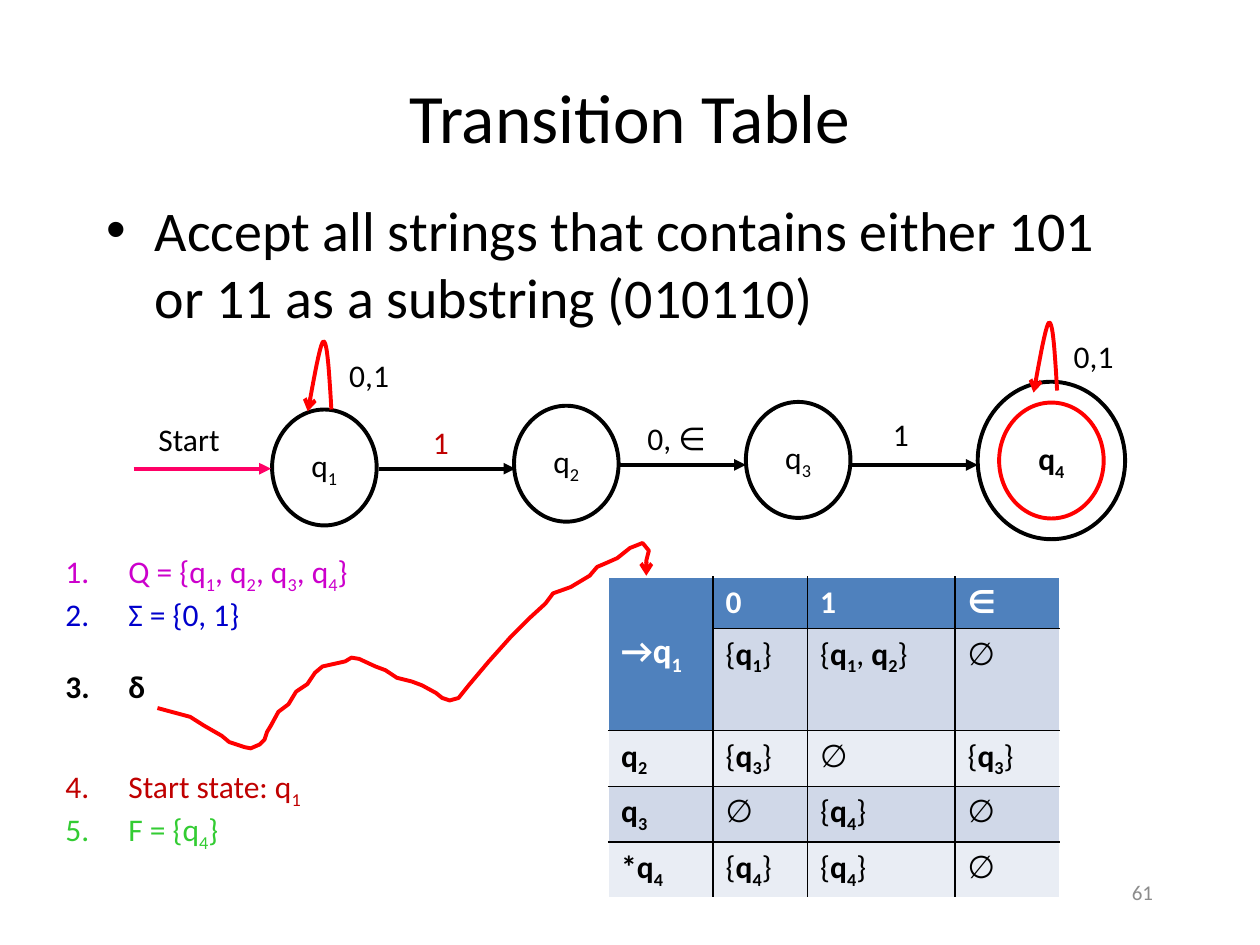
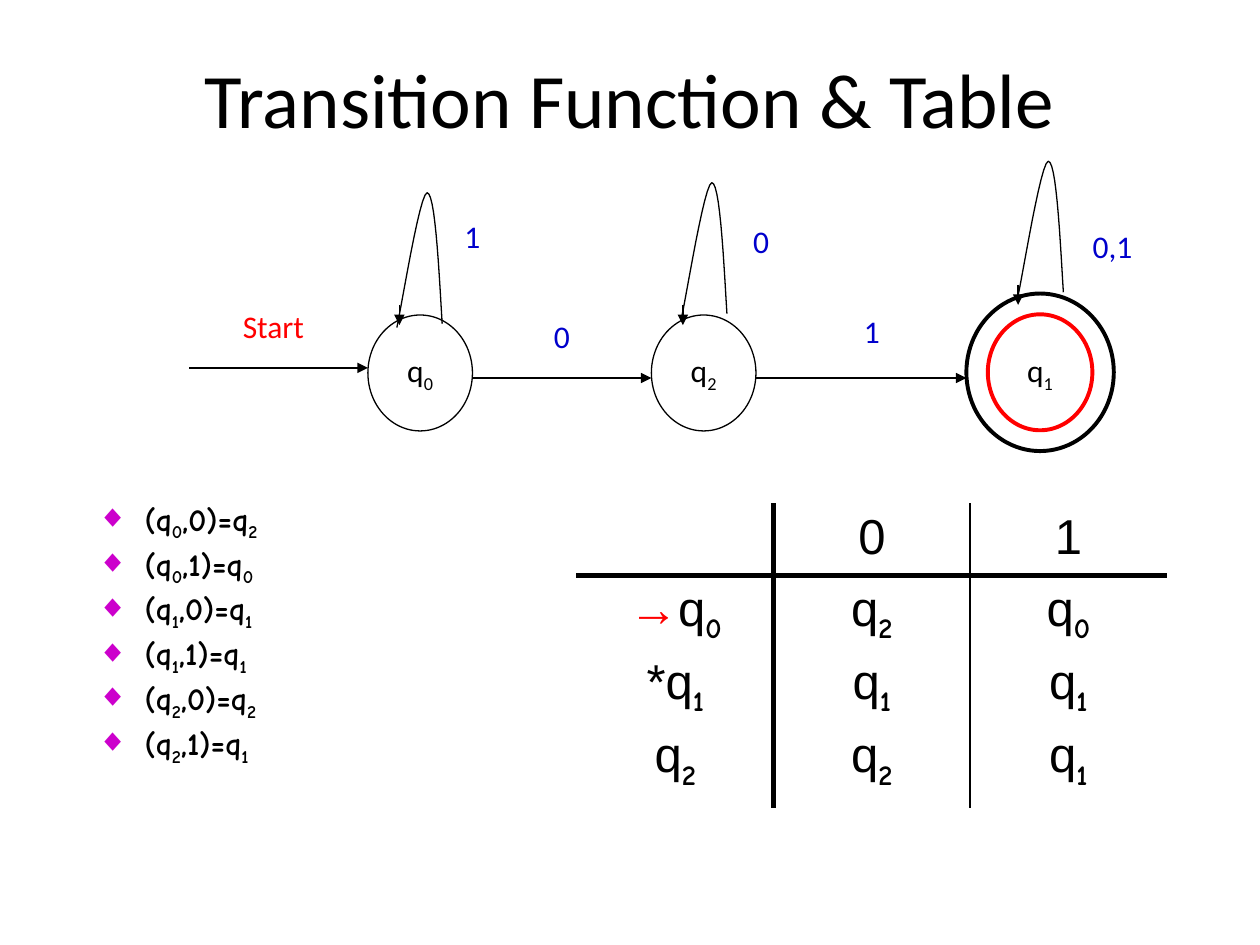
from lxml import etree
from pptx import Presentation
from pptx.dml.color import RGBColor
from pptx.enum.shapes import MSO_CONNECTOR, MSO_SHAPE
from pptx.enum.text import MSO_ANCHOR, PP_ALIGN
from pptx.oxml.ns import qn
from pptx.util import Inches, Pt

BLACK = RGBColor(0x00, 0x00, 0x00)
WHITE = RGBColor(0xFF, 0xFF, 0xFF)
GRAY = RGBColor(0x8C, 0x8C, 0x8C)
RED = RGBColor(0xFF, 0x00, 0x00)
DARK_RED = RGBColor(0xC0, 0x00, 0x00)
PINK = RGBColor(0xFF, 0x00, 0x66)
BLUE = RGBColor(0x00, 0x00, 0xCC)
PURPLE = RGBColor(0xCC, 0x00, 0xCC)
GREEN = RGBColor(0x33, 0xCC, 0x33)
HEADER_BLUE = RGBColor(0x4F, 0x81, 0xBD)
BANDS = (RGBColor(0xD0, 0xD8, 0xE8), RGBColor(0xE9, 0xED, 0xF4))

BODY_FONT, TABLE_FONT, COMIC_FONT = "Calibri", "Arial", "Comic Neue"
THIN, THICK = 0.75, 2.25
STATE_SIZE = (0.83, 0.92)
ACCEPT_SIZE = (1.17, 1.25)

# Two Bezier segments, as offsets from the start of the loop.
LOOP_CURVES = (
    ((0, 0), (-0.03, -0.52), (-0.06, -1.04), (-0.12, -1.04)),
    ((-0.12, -1.04), (-0.18, -1.03), (-0.32, -0.15), (-0.36, 0.03)),
)
DELTA_TRACE = (
    (1.25, 5.62), (1.51, 5.69), (1.62, 5.76), (1.76, 5.84), (1.82, 5.89),
    (1.94, 5.93), (1.99, 5.94), (2.06, 5.91), (2.1, 5.87), (2.12, 5.81),
    (2.15, 5.76), (2.21, 5.65), (2.29, 5.59), (2.35, 5.49), (2.44, 5.43),
    (2.5, 5.34), (2.56, 5.29), (2.74, 5.25), (2.79, 5.22), (2.85, 5.23),
    (2.98, 5.29), (3.06, 5.32), (3.15, 5.38), (3.27, 5.41), (3.35, 5.44),
    (3.46, 5.5), (3.51, 5.54), (3.57, 5.56), (3.64, 5.54), (3.72, 5.44),
    (3.88, 5.25), (4.05, 5.06), (4.21, 4.9), (4.33, 4.79), (4.39, 4.71),
    (4.53, 4.66), (4.68, 4.57), (4.74, 4.5), (4.81, 4.47), (4.9, 4.43),
    (5, 4.35), (5.1, 4.31), (5.15, 4.37), (5.13, 4.45), (5.13, 4.57),
)


def box(left, top, width, height):
    return Inches(left), Inches(top), Inches(width), Inches(height)


def write(paragraph, markup, size=18, color=BLACK, font=BODY_FONT, sub_font=None):
    """Fill a paragraph; |x| is bold and _ makes the next character a subscript."""
    paragraph.font.size = Pt(size)
    paragraph.font.color.rgb = color
    paragraph.font.name = font

    def add_run(text, bold, subscript=False):
        if not text:
            return
        run = paragraph.add_run()
        run.text = text
        run.font.bold = bold
        if subscript:
            run.font._element.set("baseline", "-25000")
            if sub_font:
                run.font.name = sub_font
                run.font.bold = True

    for index, chunk in enumerate(markup.split("|")):
        bold = index % 2 == 1
        plain, *subscripted = chunk.split("_")
        add_run(plain, bold)
        for part in subscripted:
            add_run(part[0], bold, subscript=True)
            add_run(part[1:], bold)


def set_bullet(paragraph, indent, char=None, color=None):
    """Hang a bullet character, or an automatic number when there is none."""
    properties = paragraph._p.get_or_add_pPr()
    properties.set("marL", str(Inches(indent)))
    properties.set("indent", str(-Inches(indent)))
    if color is not None:
        bullet_color = etree.SubElement(properties, qn("a:buClr"))
        etree.SubElement(bullet_color, qn("a:srgbClr")).set("val", str(color))
    if char:
        etree.SubElement(properties, qn("a:buFont")).set("typeface", TABLE_FONT)
        etree.SubElement(properties, qn("a:buChar")).set("char", char)
    else:
        etree.SubElement(properties, qn("a:buAutoNum")).set("type", "arabicPeriod")


def add_title(slide, text, bounds, size):
    title = slide.shapes.title
    title.left, title.top, title.width, title.height = box(*bounds)
    title.text_frame.vertical_anchor = MSO_ANCHOR.MIDDLE
    paragraph = title.text_frame.paragraphs[0]
    paragraph.alignment = PP_ALIGN.CENTER
    write(paragraph, text, size)


def add_text_frame(slide, bounds):
    frame = slide.shapes.add_textbox(*box(*bounds)).text_frame
    frame.word_wrap = True
    return frame


def next_paragraph(frame, index):
    return frame.add_paragraph() if index else frame.paragraphs[0]


def center_in(frame, markup, color=BLACK):
    frame.word_wrap = False
    frame.vertical_anchor = MSO_ANCHOR.MIDDLE
    frame.paragraphs[0].alignment = PP_ALIGN.CENTER
    write(frame.paragraphs[0], markup, color=color)


def add_label(slide, text, center_x, center_y, color=BLACK):
    bounds = (center_x - 0.5, center_y - 0.17, 1, 0.33)
    center_in(add_text_frame(slide, bounds), text, color)


def add_circle(slide, left, top, size, color, width, markup=""):
    circle = slide.shapes.add_shape(MSO_SHAPE.OVAL, *box(left, top, *size))
    circle.shadow.inherit = False
    circle.fill.solid()
    circle.fill.fore_color.rgb = WHITE
    circle.line.color.rgb = color
    circle.line.width = Pt(width)
    if markup:
        center_in(circle.text_frame, markup)


def add_accept_state(slide, left, top, markup):
    add_circle(slide, left, top, ACCEPT_SIZE, BLACK, THICK)
    add_circle(slide, left + 0.17, top + 0.165, STATE_SIZE, RED, THICK, markup)


def style_line(line, color, width, head=None):
    line.color.rgb = color
    line.width = Pt(width)
    if head:
        etree.SubElement(line._get_or_add_ln(), qn("a:tailEnd")).set("type", head)


def add_arrow(slide, start, end, color=BLACK, width=THIN):
    points = [Inches(value) for value in (*start, *end)]
    arrow = slide.shapes.add_connector(MSO_CONNECTOR.STRAIGHT, *points)
    style_line(arrow.line, color, width, "triangle")
    etree.SubElement(arrow._element.spPr, qn("a:effectLst"))


def add_trace(slide, points, color, width, head=None):
    """Draw an open outline through the points."""
    start, *rest = [(Inches(x), Inches(y)) for x, y in points]
    builder = slide.shapes.build_freeform(*start)
    builder.add_line_segments(rest, close=False)
    trace = builder.convert_to_shape()
    trace.shadow.inherit = False
    trace.fill.background()
    style_line(trace.line, color, width, head)


def bezier(curve, t):
    weights = ((1 - t) ** 3, 3 * t * (1 - t) ** 2, 3 * t * t * (1 - t), t ** 3)
    return tuple(sum(w * point[axis] for w, point in zip(weights, curve)) for axis in (0, 1))


def add_loop(slide, x, y, scale, color, width, head=None):
    steps = 12
    offsets = [(0, 0)]
    for curve in LOOP_CURVES:
        offsets += [bezier(curve, step / steps) for step in range(1, steps + 1)]
    points = [(x + scale * dx, y + scale * dy) for dx, dy in offsets]
    add_trace(slide, points, color, width, head)


def add_plain_table(slide, bounds, columns, rows):
    table = slide.shapes.add_table(len(rows), len(columns), *box(*bounds)).table
    table.first_row = table.horz_banding = False
    for column, width in zip(table.columns, columns):
        column.width = Inches(width)
    for row, height in zip(table.rows, rows):
        row.height = Inches(height)
    return table


def rule_inside(table, column_rules, row_rules):
    """Draw the inner borders; the widths run left to right and top to bottom."""
    across, down = (0, *column_rules, 0), (0, *row_rules, 0)
    for r in range(len(table.rows)):
        for c in range(len(table.columns)):
            properties = table.cell(r, c)._tc.get_or_add_tcPr()
            sides = {"L": across[c], "R": across[c + 1], "T": down[r], "B": down[r + 1]}
            for side, width in sides.items():
                border = etree.SubElement(properties, qn(f"a:ln{side}"))
                border.set("w", str(Pt(width or 1)))
                fill = etree.SubElement(border, qn("a:solidFill"))
                color = BLACK if width else WHITE
                etree.SubElement(fill, qn("a:srgbClr")).set("val", str(color))


def add_nfa_table(slide):
    content = (
        ("|→q_1|", "|0|", "|1|", "|∈|"),
        ("", "{|q_1|}", "{|q_1|, |q_2|}", "∅"),
        ("|q_2|", "{|q_3|}", "∅", "{|q_3|}"),
        ("|q_3|", "∅", "{|q_4|}", "∅"),
        ("|*q_4|", "{|q_4|}", "{|q_4|}", "∅"),
    )
    table = add_plain_table(slide, (4.83, 4.58, 3.58, 2.54),
                            (0.83, 0.75, 1.17, 0.83), (0.41, 0.81, 0.44, 0.44, 0.44))
    rule_inside(table, (1, 1, 1), (1, 1, 1, 1))
    table.cell(0, 0).merge(table.cell(1, 0))
    table.cell(0, 0).vertical_anchor = MSO_ANCHOR.MIDDLE
    for r, row in enumerate(content):
        for c, markup in enumerate(row):
            cell = table.cell(r, c)
            cell.fill.solid()
            cell.fill.fore_color.rgb = BANDS[(r + 1) % 2] if r else HEADER_BLUE
            if markup:
                write(cell.text_frame.paragraphs[0], markup,
                      20 if r == c == 0 else 18, BLACK if r else WHITE)


def add_dfa_table(slide):
    content = (
        ((), ("0",), ("1",)),
        (("→q_0", "*q_1", "q_2"), ("q_2", "q_1", "q_2"), ("q_0", "q_1", "q_1")),
    )
    table = add_plain_table(slide, (4.58, 4, 4.68, 2.3), (1.56,) * 3, (0.53, 1.77))
    rule_inside(table, (3, 1), (3,))
    for r, row in enumerate(content):
        for c, lines in enumerate(row):
            cell = table.cell(r, c)
            cell.fill.background()
            for index, markup in enumerate(lines):
                paragraph = next_paragraph(cell.text_frame, index)
                paragraph.alignment = PP_ALIGN.CENTER
                paragraph.space_before = Pt(5.6)
                if markup.startswith("→"):
                    arrow = paragraph.add_run()
                    arrow.text = "→"
                    arrow.font.color.rgb = RED
                write(paragraph, markup.lstrip("→"), 28, BLACK, TABLE_FONT, COMIC_FONT)


def build_nfa_slide(slide):
    add_title(slide, "Transition Table", (0.75, 0.67, 8.5, 0.5), 39.6)
    task = add_text_frame(slide, (0.75, 1.5, 8.5, 1.17)).paragraphs[0]
    set_bullet(task, 0.38, "•")
    task.space_before = Pt(6.4)
    write(task, "Accept all strings that contains either 101 or 11 as a substring (010110)", 32)

    number = add_text_frame(slide, (7.17, 6.83, 2.08, 0.5))
    number.vertical_anchor = MSO_ANCHOR.MIDDLE
    number.paragraphs[0].alignment = PP_ALIGN.RIGHT
    write(number.paragraphs[0], "61", 12, GRAY)

    for markup, left, top in (("q_1", 2.16, 3.25), ("q_2", 4.08, 3.22), ("q_3", 5.92, 3.19)):
        add_circle(slide, left, top, STATE_SIZE, BLACK, THICK, markup)
    add_accept_state(slide, 7.76, 3.03, "|q_4|")
    for start_x, end_x, y, color in ((1.06, 2.15, 3.72, PINK), (3.01, 4.09, 3.72, BLACK),
                                     (4.92, 5.92, 3.69, BLACK), (6.76, 7.76, 3.69, BLACK)):
        add_arrow(slide, (start_x, y), (end_x, y), color, THICK)
    for x, y in ((2.63, 3.25), (8.39, 3.1)):
        add_loop(slide, x, y, 0.52, RED, THICK, "arrow")
    for text, x, y, color in (("Start", 1.5, 3.49, BLACK), ("0,1", 2.93, 2.98, BLACK),
                              ("1", 3.5, 3.51, DARK_RED), ("0, ∈", 5.37, 3.48, BLACK),
                              ("1", 7.15, 3.45, BLACK), ("0,1", 8.68, 2.83, BLACK)):
        add_label(slide, text, x, y, color)

    add_nfa_table(slide)
    definition = add_text_frame(slide, (0.42, 4.33, 3.58, 3.06))
    parts = (("Q = {q_1, q_2, q_3, q_4}", PURPLE, 0), ("Σ = {0, 1}", BLUE, 0),
             ("|δ|", BLACK, 19.5), ("Start state: q_1", DARK_RED, 36), ("F = {q_4}", GREEN, 0))
    for index, (markup, color, gap) in enumerate(parts):
        paragraph = next_paragraph(definition, index)
        set_bullet(paragraph, 0.5)
        paragraph.space_before = Pt(gap)
        write(paragraph, markup, color=color)
    add_trace(slide, DELTA_TRACE, RED, THICK, "arrow")


def build_dfa_slide(slide):
    add_title(slide, "Transition Function & Table", (0.5, 0.3, 9, 0.95), 44)
    rules = add_text_frame(slide, (0.67, 3.92, 4, 2.75))
    steps = ("002", "010", "101", "111", "202", "211")
    for index, (state, symbol, target) in enumerate(steps):
        paragraph = next_paragraph(rules, index)
        set_bullet(paragraph, 0.38, "◆", PURPLE)
        paragraph.line_spacing = 0.9
        paragraph.space_before = Pt(3.6)
        write(paragraph, f"|(q_{state},{symbol})=q_{target}|", font=COMIC_FONT)
    add_dfa_table(slide)

    for markup, left in (("q_0", 2.92), ("q_2", 5.17)):
        add_circle(slide, left, 2.5, STATE_SIZE, BLACK, THIN, markup)
    add_accept_state(slide, 7.67, 2.33, "q_1")
    for start_x, end_x, y in ((1.5, 2.92, 2.92), (3.75, 5.17, 3), (6, 7.67, 3)):
        add_arrow(slide, (start_x, y), (end_x, y))
    for x, y, tip_x, tip_y in ((3.51, 2.57, 3.17, 2.58), (5.77, 2.49, 5.42, 2.58),
                               (8.44, 2.32, 8.08, 2.42)):
        add_loop(slide, x, y, 1, BLACK, THIN)
        add_arrow(slide, (tip_x, tip_y - 0.16), (tip_x, tip_y))
    add_label(slide, "Start", 2.17, 2.59, RED)
    for text, x, y in (("0", 4.46, 2.67), ("1", 6.92, 2.63), ("1", 3.75, 1.88),
                       ("0", 6.04, 1.92), ("0,1", 8.83, 1.96)):
        add_label(slide, text, x, y, BLUE)


def main():
    deck = Presentation()
    deck.slide_width, deck.slide_height = Inches(10), Inches(7.5)
    title_only = deck.slide_layouts[5]
    for build in (build_nfa_slide, build_dfa_slide):
        build(deck.slides.add_slide(title_only))
    deck.save("out.pptx")


if __name__ == "__main__":
    main()
